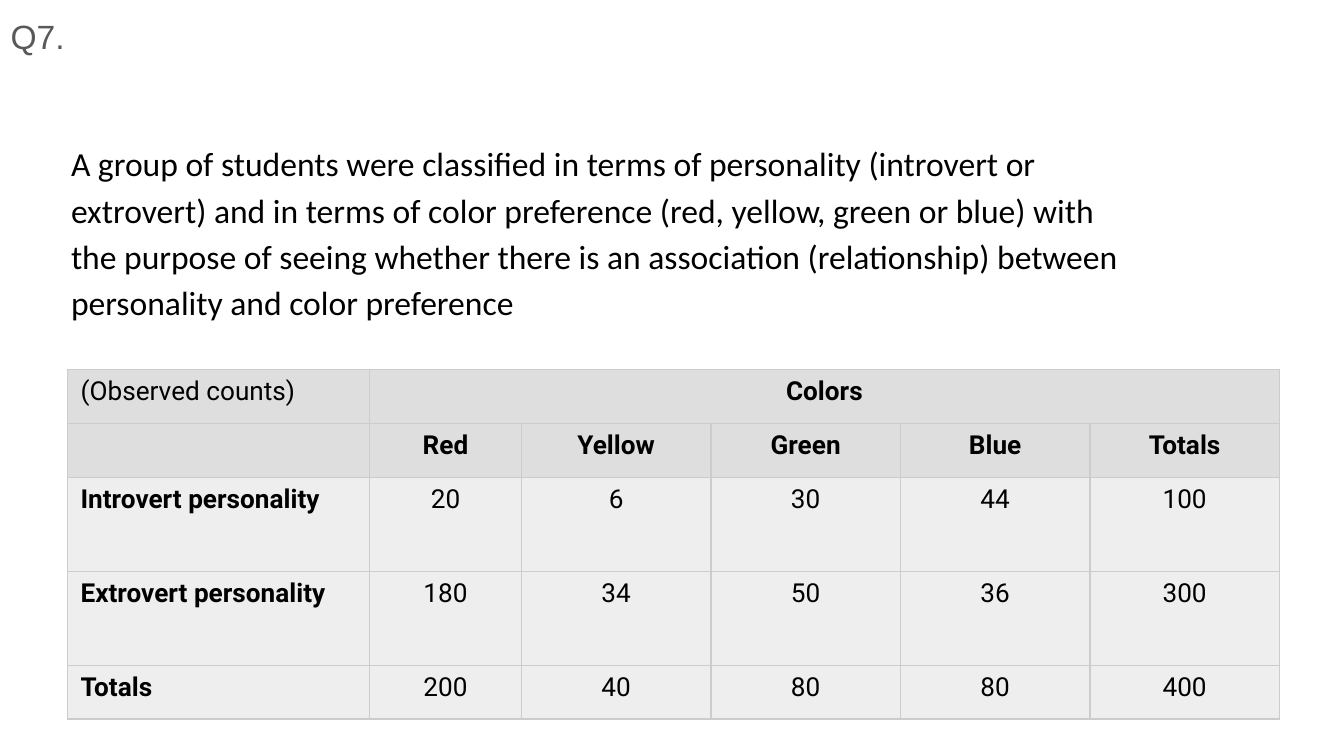
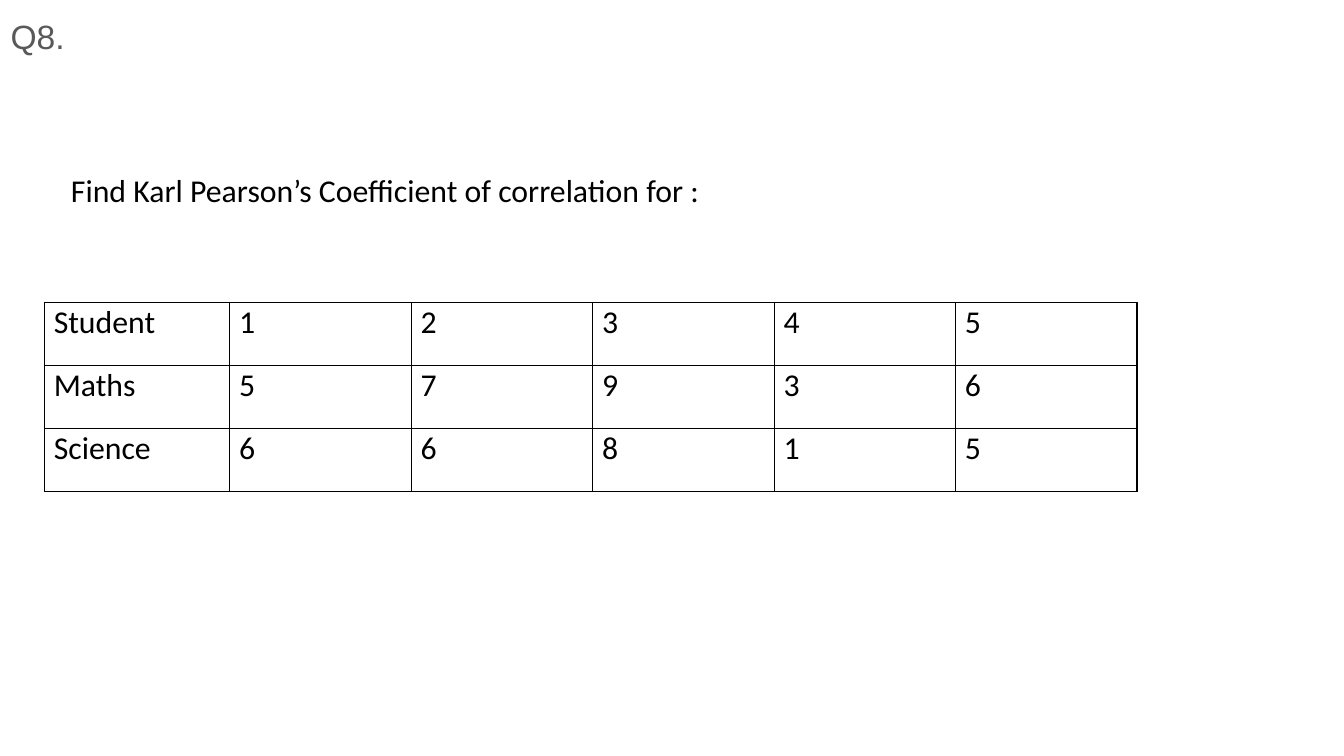
from pptx import Presentation
from pptx.dml.color import RGBColor
from pptx.enum.text import MSO_ANCHOR, PP_ALIGN
from pptx.oxml import parse_xml
from pptx.oxml.ns import nsdecls
from pptx.util import Inches, Pt

COLORS = {
    "text": "000000",
    "title": "595959",
    "header": "DEDEDE",
    "body": "EEEEEE",
    "grid": "CCCCCC",
}


def write(frame, text, font="Calibri", size=18, color="text", bold=False,
          align=PP_ALIGN.LEFT, indent=0, line_spacing=None):
    para = frame.paragraphs[0]
    para.alignment = align
    if line_spacing:
        para.line_spacing = line_spacing
    if indent:
        properties = para._p.get_or_add_pPr()
        properties.set("marL", str(Inches(indent)))
        properties.set("indent", "0")
    span = para.add_run()
    span.text = text
    span.font.name = font
    span.font.size = Pt(size)
    span.font.bold = bold
    span.font.color.rgb = RGBColor.from_string(COLORS[color])


def set_borders(cell, color, width=0.75):
    properties = cell._tc.get_or_add_tcPr()
    for side in ("lnL", "lnR", "lnT", "lnB"):
        properties.append(parse_xml(
            f'<a:{side} {nsdecls("a")} w="{Pt(width)}"><a:solidFill>'
            f'<a:srgbClr val="{COLORS[color]}"/></a:solidFill></a:{side}>'))


class QuestionDeck:
    def __init__(self):
        self.deck = Presentation()
        # Widescreen, 16 to 9
        self.deck.slide_width = Inches(10)
        self.deck.slide_height = Inches(10) * 9 // 16
        self.page = None

    def add_page(self, title):
        self.page = self.deck.slides.add_slide(self.deck.slide_layouts[6])
        self.add_text(title, -0.02, 0.02, 10.02, 0.6, font="Arial", color="title")

    def add_text(self, text, left, top, width, height, right_inset=0.1, **style):
        box = self.page.shapes.add_textbox(
            Inches(left), Inches(top), Inches(width), Inches(height))
        frame = box.text_frame
        frame.word_wrap = True
        frame.margin_left = frame.margin_top = frame.margin_bottom = Inches(0.1)
        frame.margin_right = Inches(right_inset)
        write(frame, text, **style)

    def add_table(self, rows, left, top, widths, heights, border, inset, style, fill=None):
        """Draw a grid; style(row, column) gives the text format, fill(row) a colour."""
        table = self.page.shapes.add_table(
            len(rows), len(widths), Inches(left), Inches(top),
            Inches(sum(widths)), Inches(sum(heights))).table
        table.first_row = table.horz_banding = False
        for column, width in zip(table.columns, widths):
            column.width = Inches(width)
        for row, height in zip(table.rows, heights):
            row.height = Inches(height)
        for r, values in enumerate(rows):
            for c, value in enumerate(values):
                cell = table.cell(r, c)
                cell.margin_left = cell.margin_right = Inches(inset[0])
                cell.margin_top = cell.margin_bottom = Inches(inset[1])
                cell.vertical_anchor = MSO_ANCHOR.TOP
                set_borders(cell, border)
                if fill:
                    cell.fill.solid()
                    cell.fill.fore_color.rgb = RGBColor.from_string(COLORS[fill(r)])
                else:
                    cell.fill.background()
                if value:
                    write(cell.text_frame, value, **style(r, c))
        return table


def counts_style(row, column):
    return {
        "font": "Roboto",
        "size": 14,
        "bold": (row < 2 or column == 0) and (row, column) != (0, 0),
        "align": PP_ALIGN.CENTER if column else PP_ALIGN.LEFT,
    }


def marks_style(row, column):
    return {"size": 17, "indent": 0.07, "line_spacing": 1.01}


def main():
    questions = QuestionDeck()

    # Question 7: personality and color preference
    questions.add_page("Q7.")
    questions.add_text(
        "A group of students were classified in terms of personality (introvert or "
        "extrovert) and in terms of color preference (red, yellow, green or blue) with "
        "the purpose of seeing whether there is an association (relationship) between "
        "personality and color preference",
        0, 0.92, 9.78, 1.55, right_inset=1.36, indent=0.43, line_spacing=1.15)
    observed_counts = [
        ["(Observed counts)", "Colors", "", "", "", ""],
        ["", "Red", "Yellow", "Green", "Blue", "Totals"],
        ["Introvert personality", "20", "6", "30", "44", "100"],
        ["Extrovert personality", "180", "34", "50", "36", "300"],
        ["Totals", "200", "40", "80", "80", "400"],
    ]
    table = questions.add_table(
        observed_counts, 0.5, 2.75, [2.25, 1.13] + [1.41] * 4,
        [0.4, 0.4, 0.7, 0.7, 0.4], border="grid", inset=(0.1, 0.05),
        style=counts_style, fill=lambda row: "header" if row < 2 else "body")
    table.cell(0, 1).merge(table.cell(0, 5))

    # Question 8: correlation of marks
    questions.add_page("Q8.")
    questions.add_text("Find Karl Pearson’s Coefficient of correlation for :",
                       0, 1.17, 7.53, 0.49, size=17, indent=0.43)
    marks = [
        ["Student", "1", "2", "3", "4", "5"],
        ["Maths", "5", "7", "9", "3", "6"],
        ["Science", "6", "6", "8", "1", "5"],
    ]
    questions.add_table(marks, 0.33, 2.25, [1.38] + [1.35] * 5, [0.47] * 3,
                        border="text", inset=(0, 0), style=marks_style)

    questions.deck.save("out.pptx")


if __name__ == "__main__":
    main()
